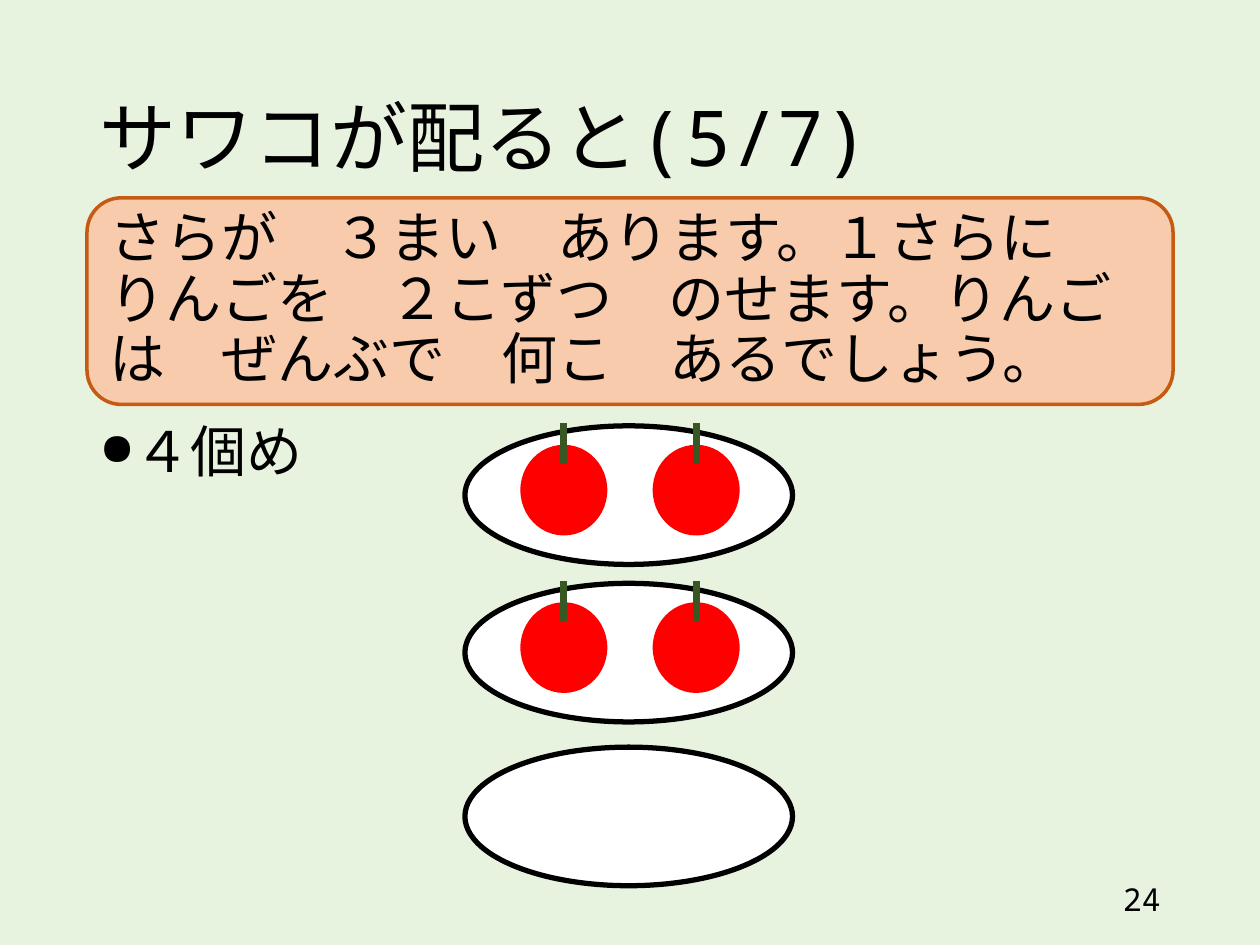
from lxml import etree
from pptx import Presentation
from pptx.dml.color import RGBColor
from pptx.enum.shapes import MSO_CONNECTOR, MSO_SHAPE
from pptx.enum.text import MSO_ANCHOR, PP_ALIGN
from pptx.oxml.ns import qn
from pptx.util import Inches, Pt

OVAL, ROUND = MSO_SHAPE.OVAL, MSO_SHAPE.ROUNDED_RECTANGLE
STRAIGHT = MSO_CONNECTOR.STRAIGHT
TOP, MIDDLE = MSO_ANCHOR.TOP, MSO_ANCHOR.MIDDLE
LEFT, RIGHT = PP_ALIGN.LEFT, PP_ALIGN.RIGHT

PALE = RGBColor(0xE7, 0xF3, 0xDF)
BLACK = RGBColor(0, 0, 0)
WHITE = RGBColor(0xFF, 0xFF, 0xFF)
RED = RGBColor(0xFF, 0, 0)
GREEN = RGBColor(0x38, 0x57, 0x23)
PEACH = RGBColor(0xF8, 0xCB, 0xAD)
RUST = RGBColor(0xC5, 0x5A, 0x11)
SANS, MONO = "Noto Sans CJK JP", "Noto Sans Mono"

TITLE = "サワコが配ると(5/7)"
TASK = ("さらが　３まい　あります。１さらに　りんごを　２こずつ　のせます。"
        "りんごは　ぜんぶで　何こ　あるでしょう。")
STEP = [("４", SANS), ("個め", MONO)]
PAGE = "24"

EDGE, WIDE = 0.69, 8.62
PLATE_X, PLATE_W, PLATE_H = 3.69, 2.6, 1.1
PLATES = [(3.38, 2), (4.63, 2), (5.93, 0)]  # top, apples
APPLE_X, APPLE_GAP, APPLE_DROP = 0.44, 1.05, 0.15
APPLE_W, APPLE_H = 0.69, 0.72
STEM_RISE, STEM_H = 0.17, 0.32

prs = Presentation()
prs.slide_width, prs.slide_height = Inches(10), Inches(7.5)
slide = prs.slides.add_slide(prs.slide_layouts[6])
slide.background.fill.solid()
slide.background.fill.fore_color.rgb = PALE
shapes = slide.shapes


def write(shape, runs, size, anchor=MIDDLE, align=LEFT, bullet=None):
    """Fill the shape with one paragraph of (text, font) runs."""
    frame = shape.text_frame
    frame.word_wrap = True
    frame.vertical_anchor = anchor
    para = frame.paragraphs[0]
    para.alignment = align
    para.line_spacing = 0.9
    if bullet:
        props = para._p.get_or_add_pPr()
        props.set("marL", str(Inches(0.25)))
        props.set("indent", str(-Inches(0.25)))
        etree.SubElement(props, qn("a:buSzPct")).set("val", "80000")
        etree.SubElement(props, qn("a:buChar")).set("char", bullet)
    para.font.size = Pt(size)
    para.font.color.rgb = BLACK
    for text, face in runs:
        run = para.add_run()
        run.text = text
        run.font.size = Pt(size)
        run.font.color.rgb = BLACK
        run.font.name = face
        east = etree.SubElement(run._r.get_or_add_rPr(), qn("a:ea"))
        east.set("typeface", face)


def label(x, y, w, h, *args, **kwargs):
    box = shapes.add_textbox(Inches(x), Inches(y), Inches(w), Inches(h))
    write(box, *args, **kwargs)


def draw(kind, x, y, w, h, fill, line=None, width=0):
    shape = shapes.add_shape(kind, Inches(x), Inches(y), Inches(w), Inches(h))
    shape.shadow.inherit = False
    shape.fill.solid()
    shape.fill.fore_color.rgb = fill
    if line is None:
        shape.line.fill.background()
    else:
        shape.line.color.rgb = line
        shape.line.width = Pt(width)
    return shape


def apple(x, y):
    draw(OVAL, x, y, APPLE_W, APPLE_H, RED)
    mid, top = Inches(x + APPLE_W / 2), y - STEM_RISE
    stem = shapes.add_connector(STRAIGHT, mid, Inches(top),
                                mid, Inches(top + STEM_H))
    stem.line.color.rgb = GREEN
    stem.line.width = Pt(4)
    etree.SubElement(stem._element.spPr, qn("a:effectLst"))


label(EDGE, 0.4, WIDE, 1.45, [(TITLE, MONO)], 44)
label(7.06, 6.95, 2.25, 0.4, [(PAGE, MONO)], 18, align=RIGHT)
label(EDGE, 3.32, WIDE, 3.43, STEP, 32, anchor=TOP, bullet="●")

for top, count in PLATES:
    draw(OVAL, PLATE_X, top, PLATE_W, PLATE_H, WHITE, BLACK, 3)
    for i in range(count):
        apple(PLATE_X + APPLE_X + i * APPLE_GAP, top + APPLE_DROP)

card = draw(ROUND, EDGE, 1.57, WIDE, 1.64, PEACH, RUST, 2)
write(card, [(TASK, SANS)], 32)

prs.save("out.pptx")
